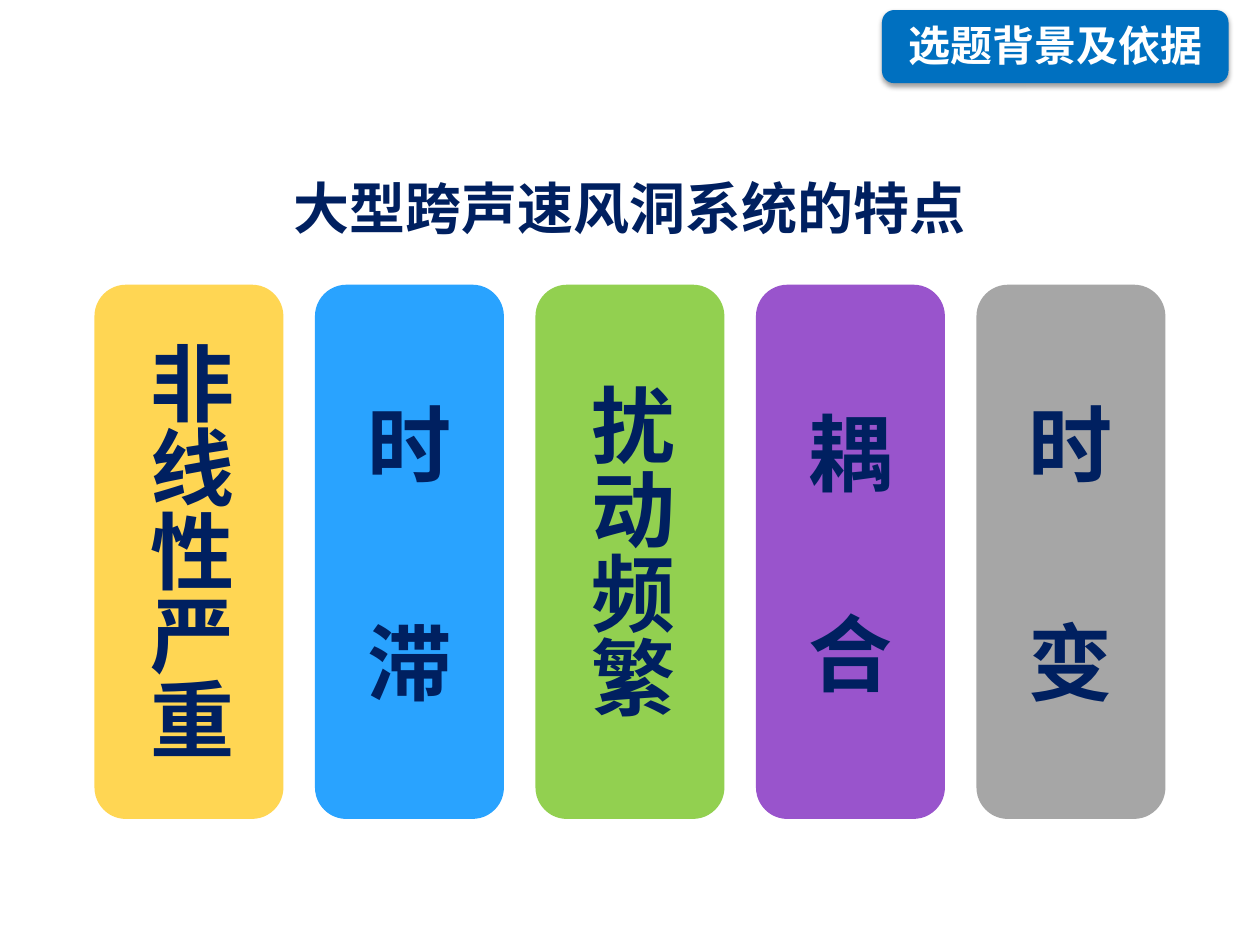
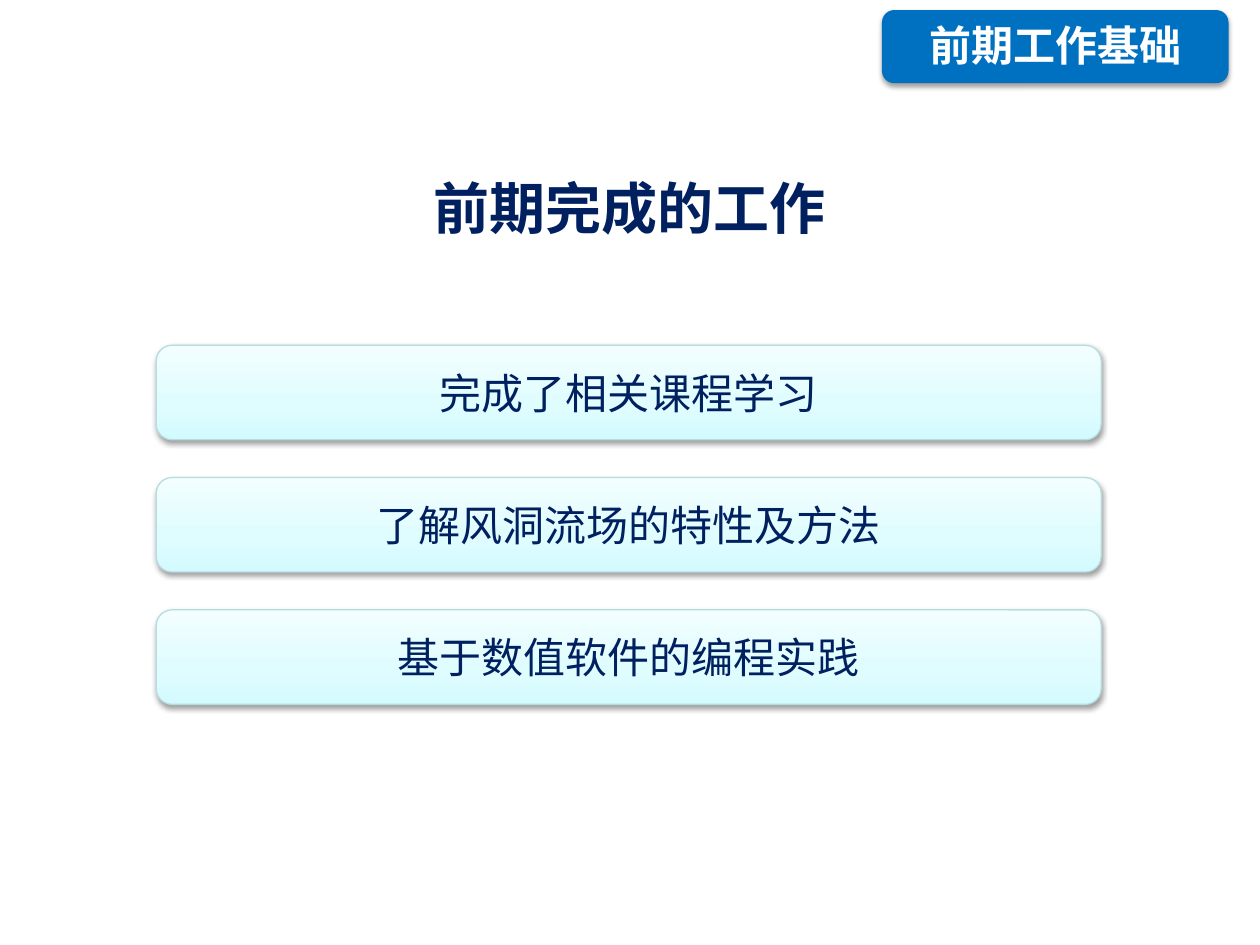
from pptx import Presentation
from pptx.dml.color import RGBColor
from pptx.enum.shapes import MSO_SHAPE
from pptx.enum.text import MSO_ANCHOR, MSO_AUTO_SIZE, PP_ALIGN
from pptx.oxml import parse_xml
from pptx.oxml.ns import nsdecls, qn
from pptx.util import Inches, Pt

ROUNDED = MSO_SHAPE.ROUNDED_RECTANGLE
CENTER, START = PP_ALIGN.CENTER, PP_ALIGN.LEFT
TOP, MIDDLE = MSO_ANCHOR.TOP, MSO_ANCHOR.MIDDLE
FIT_SHAPE = MSO_AUTO_SIZE.SHAPE_TO_FIT_TEXT

NAVY = RGBColor(0x00, 0x20, 0x60)
WHITE = RGBColor(0xFF, 0xFF, 0xFF)
BLUE = RGBColor(0x00, 0x70, 0xC0)
YELLOW = RGBColor(0xFF, 0xD6, 0x53)
SKY = RGBColor(0x29, 0xA3, 0xFF)
GREEN = RGBColor(0x92, 0xD0, 0x50)
PURPLE = RGBColor(0x99, 0x54, 0xCC)
GRAY = RGBColor(0xA6, 0xA6, 0xA6)
BAR_LINE = RGBColor(0xB6, 0xDC, 0xDF)
BAR_GRADIENT = (
    (0, RGBColor(0xD3, 0xFB, 0xFF)),
    (35, RGBColor(0xDF, 0xFC, 0xFF)),
    (100, RGBColor(0xF2, 0xFE, 0xFF)),
)

CHINESE_FONT = "Noto Sans CJK SC"
LATIN_FONT = "Times New Roman"
COLUMN_TEXT_SIZE = 48
COLUMN_TEXT_HEIGHT = Inches(3.89)


def write_text(shape, text, size, color=NAVY, bold=False, font=CHINESE_FONT,
               alignment=CENTER, anchor=MIDDLE, gap=0):
    """Fill a shape with one paragraph per line; gap is the space between them in points."""
    frame = shape.text_frame
    frame.word_wrap = True
    frame.vertical_anchor = anchor
    for index, line in enumerate(text.split("\n")):
        paragraph = frame.add_paragraph() if index else frame.paragraphs[0]
        paragraph.alignment = alignment
        if index:
            paragraph.space_before = Pt(gap)
        run = paragraph.add_run()
        run.text = line
        run.font.size = Pt(size)
        run.font.bold = bold
        run.font.color.rgb = color
        run.font.name = font
        east_asian = parse_xml(f'<a:ea {nsdecls("a")} typeface="{CHINESE_FONT}"/>')
        run.font._element.find(qn("a:latin")).addnext(east_asian)


def set_vertical(shape, character_count):
    """Run the text downwards, indented so that it sits in the middle of the column."""
    frame = shape.text_frame
    frame._txBody.bodyPr.set("vert", "eaVert")
    indent = (COLUMN_TEXT_HEIGHT - character_count * Pt(COLUMN_TEXT_SIZE)) // 2
    frame.paragraphs[0]._p.get_or_add_pPr().set("marL", str(indent))


def add_shadow(shape):
    effects = shape._element.spPr.find(qn("a:effectLst"))
    effects.append(parse_xml(
        f'<a:outerShdw {nsdecls("a")} blurRad="{Pt(3.1)}" dist="{Pt(1.6)}" '
        'dir="5400000" rotWithShape="0"><a:srgbClr val="000000">'
        '<a:alpha val="38000"/></a:srgbClr></a:outerShdw>'))


def fill_gradient(shape, stops):
    """Fill from bottom to top with (percent, colour) stops."""
    shape.fill.gradient()
    shape.fill.gradient_angle = 90
    stop_list = shape._element.spPr.find(qn("a:gradFill")).find(qn("a:gsLst"))
    for stop in list(stop_list):
        stop_list.remove(stop)
    for percent, color in stops:
        stop_list.append(parse_xml(
            f'<a:gs {nsdecls("a")} pos="{percent * 1000}">'
            f'<a:srgbClr val="{color}"/></a:gs>'))


class Deck:
    """Holds the presentation, its shared style and the current slide."""

    def __init__(self):
        self.presentation = Presentation()
        self.presentation.slide_width = Inches(10)
        self.presentation.slide_height = Inches(7.5)
        self.slide = None

    def add_slide(self, section, title):
        self.slide = self.presentation.slides.add_slide(self.presentation.slide_layouts[6])
        self.add_section_tag(section)
        self.add_title(title)

    def add_box(self, left, top, width, height, fill=None):
        shape = self.slide.shapes.add_shape(
            ROUNDED, Inches(left), Inches(top), Inches(width), Inches(height))
        shape.shadow.inherit = False
        shape.line.fill.background()
        if fill is not None:
            shape.fill.solid()
            shape.fill.fore_color.rgb = fill
        return shape

    def add_section_tag(self, text):
        tag = self.add_box(7, 0.08, 2.75, 0.58, BLUE)
        add_shadow(tag)
        write_text(tag, text, 24, color=WHITE, bold=True, anchor=TOP)

    def add_title(self, text):
        title = self.slide.shapes.add_textbox(
            Inches(2), Inches(1.32), Inches(6), Inches(0.64))
        write_text(title, text, 32, bold=True)
        title.text_frame.auto_size = FIT_SHAPE

    def add_feature_column(self, left, text, fill, gap):
        """Draw a column; text without line breaks runs vertically."""
        column = self.add_box(left, 2.26, 1.5, 4.24, fill)
        vertical = "\n" not in text
        write_text(column, text, COLUMN_TEXT_SIZE, bold=True, font=LATIN_FONT,
                   alignment=START if vertical else CENTER, gap=gap)
        if vertical:
            set_vertical(column, len(text))

    def add_work_bar(self, top, text):
        bar = self.add_box(1.24, top, 7.5, 0.75)
        fill_gradient(bar, BAR_GRADIENT)
        bar.line.color.rgb = BAR_LINE
        bar.line.width = Pt(0.75)
        add_shadow(bar)
        write_text(bar, text, 24)


def build_features(deck):
    deck.add_slide("选题背景及依据", "大型跨声速风洞系统的特点")
    features = (
        ("非线性严重", YELLOW, 0),
        ("时\n滞", SKY, 67),
        ("扰动频繁", GREEN, 0),
        ("耦\n合", PURPLE, 57),
        ("时\n变", GRAY, 67),
    )
    for index, (text, fill, gap) in enumerate(features):
        deck.add_feature_column(0.75 + 1.75 * index, text, fill, gap)


def build_completed_work(deck):
    deck.add_slide("前期工作基础", "前期完成的工作")
    tasks = ("完成了相关课程学习", "了解风洞流场的特性及方法", "基于数值软件的编程实践")
    for index, task in enumerate(tasks):
        deck.add_work_bar(2.74 + 1.05 * index, task)


def main():
    deck = Deck()
    build_features(deck)
    build_completed_work(deck)
    deck.presentation.save("out.pptx")


if __name__ == "__main__":
    main()
